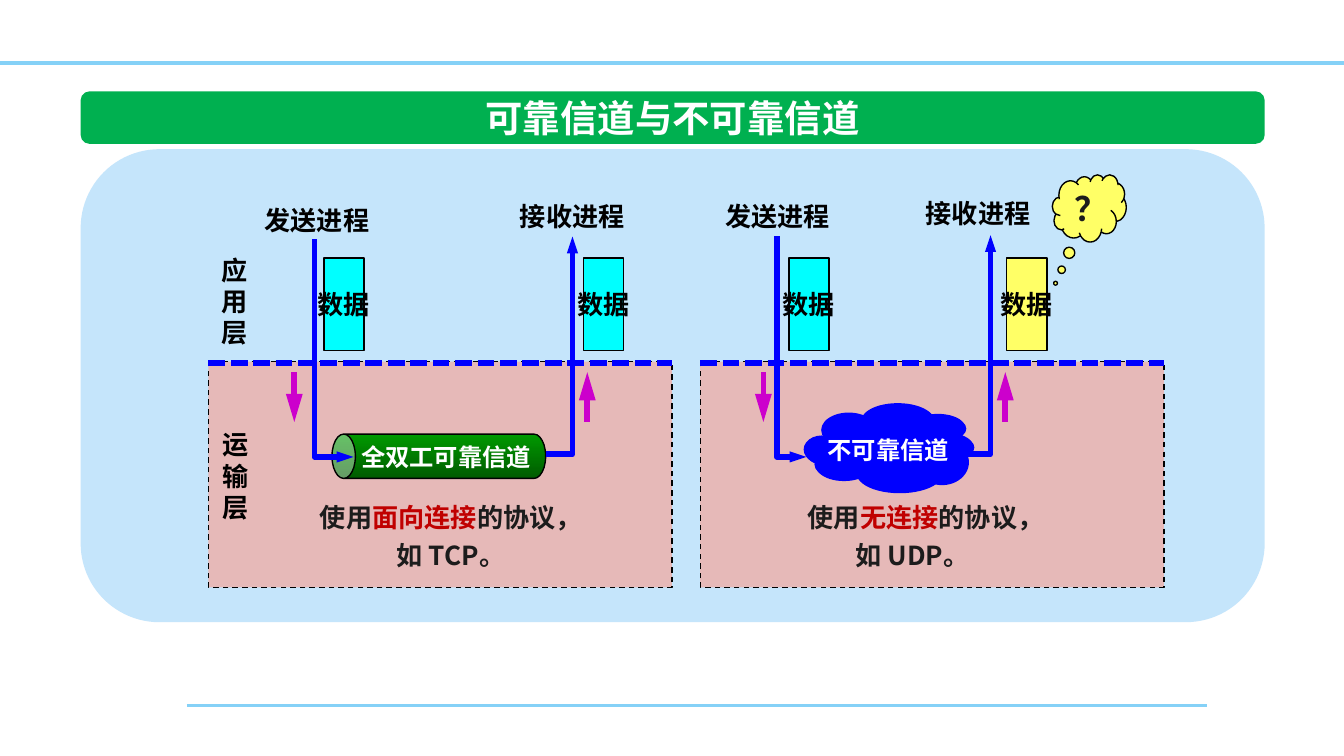
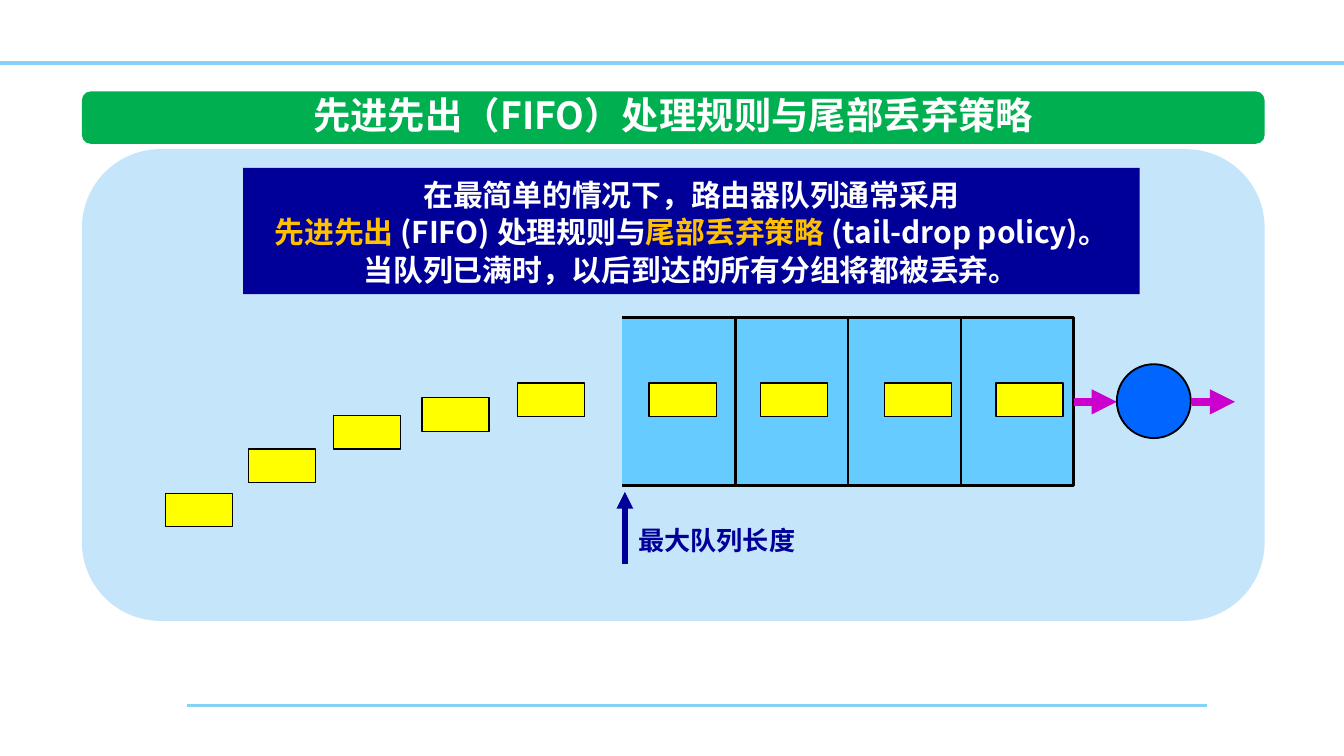
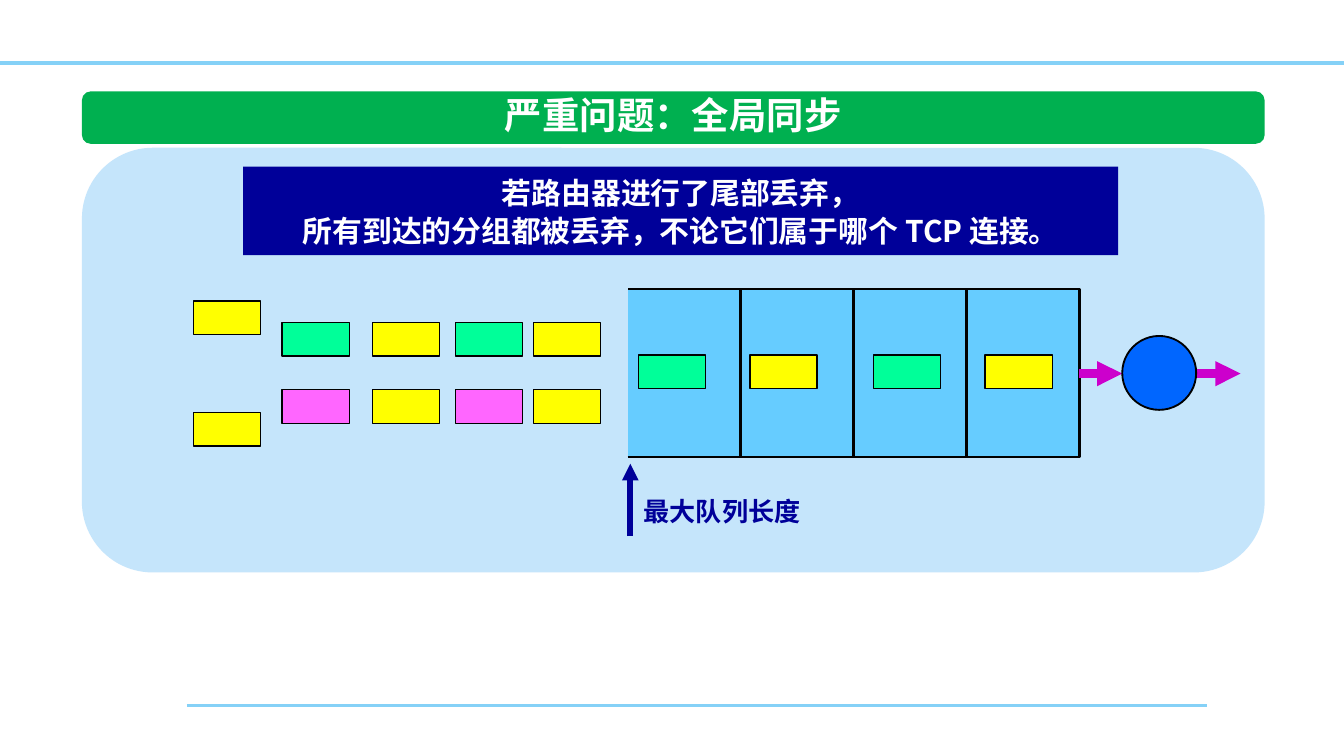
from dataclasses import dataclass

from lxml import etree
from pptx import Presentation
from pptx.dml.color import RGBColor as Rgb
from pptx.enum.dml import MSO_LINE as Dash
from pptx.enum.shapes import MSO_CONNECTOR as Wire, MSO_SHAPE as Kind
from pptx.enum.text import MSO_ANCHOR as Anchor, PP_ALIGN as Align
from pptx.oxml.ns import qn
from pptx.util import Inches, Pt


@dataclass(frozen=True)
class Theme:
    font: str = "Noto Sans CJK SC"
    latin: str = "Calibri"
    rule: str = "85D1F7"
    band: str = "00B050"
    panel: str = "C5E5FB"
    white: str = "FFFFFF"
    black: str = "000000"
    ink: str = "1C1C1C"
    red: str = "C00000"
    gold: str = "FFC000"
    navy: str = "000099"
    blue: str = "0000FF"
    disc: str = "0066FF"
    sky: str = "66CCFF"
    cyan: str = "00FFFF"
    rose: str = "E6B9B8"
    lemon: str = "FFFF66"
    yellow: str = "FFFF00"
    mint: str = "00FF99"
    pink: str = "FF66FF"
    purple: str = "CC00CC"
    moss: str = "005B00"
    leaf: str = "009900"
    title: int = 20
    mark: int = 18
    note: int = 16
    body: int = 14
    small: int = 13
    lead: int = 20


T = Theme()


# Basic parts
def style(line, color, width, dash=None):
    line.color.rgb = Rgb.from_string(color)
    line.width = Pt(width)
    if dash:
        line.dash_style = dash


def tip(item, end, wide="med", long="med"):
    node = item.line._get_or_add_ln()
    etree.SubElement(node, qn("a:" + end), type="triangle", w=wide, len=long)


def paint(item, color):
    item.shadow.inherit = False
    item.fill.solid()
    item.fill.fore_color.rgb = Rgb.from_string(color)


def shape(on, kind, box, fill, edge=None, width=0.75, dash=None):
    item = on.add_shape(kind, *map(Inches, box))
    paint(item, fill)
    if edge:
        style(item.line, edge, width, dash)
    else:
        item.line.fill.background()
    return item


def wire(on, start, end, color, width, dash=None):
    item = on.add_connector(Wire.STRAIGHT, *map(Inches, start + end))
    style(item.line, color, width, dash)
    etree.SubElement(item._element.spPr, qn("a:effectLst"))
    return item


def path(on, points, color, width, fill=None):
    spots = [(Inches(x), Inches(y)) for x, y in points]
    pen = on.build_freeform(*spots[0])
    pen.add_line_segments(spots[1:], close=False)
    item = pen.convert_to_shape()
    if fill:
        paint(item, fill)
    else:
        item.shadow.inherit = False
        item.fill.background()
    style(item.line, color, width)
    return item


def write(item, rows, size, align=Align.LEFT, lead=None, wrap=False, font=T.font):
    """Fill a frame with rows, each a list of (text, colour) runs."""
    frame = item.text_frame
    frame.word_wrap = wrap
    for num, row in enumerate(rows):
        para = frame.add_paragraph() if num else frame.paragraphs[0]
        para.alignment = align
        if lead:
            para.line_spacing = Pt(lead)
        for text, color in row:
            run = para.add_run()
            run.text = text
            run.font.name, run.font.size, run.font.bold = font, Pt(size), True
            run.font.color.rgb = Rgb.from_string(color)
            east = etree.SubElement(run._r.get_or_add_rPr(), qn("a:ea"))
            east.set("typeface", T.font)


def label(on, box, rows, size, **look):
    item = on.add_textbox(*map(Inches, box))
    write(item, rows, size, **look)


# Shared frame: rules, title band and panel
def base(deck, title, wide, top, panel, font=T.font):
    on = deck.slides.add_slide(deck.slide_layouts[6]).shapes
    wire(on, (1.39, 5.25), (8.98, 5.25), T.rule, 1.5)
    wire(on, (0, 0.47), (10, 0.47), T.rule, 2)
    left, _, width, _ = panel
    shape(on, Kind.ROUNDED_RECTANGLE, panel, T.panel)
    shape(on, Kind.ROUNDED_RECTANGLE, (left, 0.68, width, 0.39), T.band)
    label(on, (left + (width - wide) / 2, top, wide, 0.44), [[(title, T.white)]],
          T.title, align=Align.CENTER, font=font)
    return on


# Channel slide
def layer(on, x, y, word):
    label(on, (x, y, 0.4, 0.81), [[(sign, T.black)] for sign in word], T.body)


def zone(on, x, y):
    """Transport layer area with its dashed upper border."""
    shape(on, Kind.RECTANGLE, (x, y, 3.45, 1.68), T.rose, T.black, dash=Dash.DASH)
    wire(on, (x, y + 0.01), (x + 3.45, y + 0.01), T.blue, 3, Dash.SQUARE_DOT)


def flow(on, x, top, low, reach, end):
    item = path(on, [(x, top), (x, low), (x + reach, low)], T.blue, 3)
    tip(item, end, "sm")


def hop(on, x, top, low):
    tip(wire(on, (x, top), (x, low), T.purple, 3), "tailEnd", long="lg")


def side(on, name, left, top, pack, fill):
    """Process name above its data block."""
    label(on, (left, top, 1.1, 0.34), [[(name, T.black)]], T.body, wrap=True)
    item = shape(on, Kind.RECTANGLE, (pack, 1.92, 0.3, 0.69), fill, T.black)
    item.text_frame.vertical_anchor = Anchor.MIDDLE
    write(item, [[("数据", T.black)]], T.body, Align.CENTER)


def note(on, box, key, name):
    row = [("使用", T.ink), (key, T.red), (f"的协议，如 {name}。", T.ink)]
    label(on, box, [row], T.body, align=Align.CENTER, lead=T.lead, wrap=True)


def pipe(on, x, y):
    can = shape(on, Kind.CAN, (x + 0.63, y - 0.63, 0.33, 1.59), T.leaf, T.black)
    can.rotation = 270
    can.adjustments[0] = 0.528
    can.fill.gradient()
    can.fill.gradient_angle = 0
    for stop, color in zip(can.fill.gradient_stops, (T.moss, T.leaf)):
        stop.color.rgb = Rgb.from_string(color)
    label(on, (x + 0.12, y + 0.01, 1.48, 0.32), [[("全双工可靠信道", T.white)]], T.small)


PUFFS = [(0.43, 0, 0.54, 0.26), (0.13, 0.07, 0.41, 0.26), (0, 0.24, 0.27, 0.21),
         (0.08, 0.34, 0.42, 0.23), (0.39, 0.38, 0.63, 0.28), (0.8, 0.08, 0.4, 0.2),
         (0.86, 0.22, 0.4, 0.2), (0.82, 0.26, 0.4, 0.34), (0.23, 0.16, 0.82, 0.34)]


def cloud(on, x, y):
    part = on.add_group_shape().shapes
    for shift in (0.01, 0):
        for dx, dy, w, h in PUFFS:
            shape(part, Kind.OVAL, (x + dx + shift, y + dy + shift, w, h), T.blue)
    label(on, (x + 0.08, y + 0.19, 1.11, 0.32), [[("不可靠信道", T.white)]], T.small)


def doubt(on, x, y):
    item = shape(on, Kind.CLOUD_CALLOUT, (x, y, 0.55, 0.5), T.lemon, T.black)
    item.adjustments[0], item.adjustments[1] = -0.456, 1.116
    label(on, (x + 0.07, y + 0.05, 0.29, 0.4), [[("？", T.ink)]], T.mark, wrap=True)


def channels(deck):
    on = base(deck, "可靠信道与不可靠信道", 3.01, 0.66, (0.6, 1.11, 8.81, 3.52), T.latin)
    for x in (1.55, 5.21):
        zone(on, x, 2.69)
    layer(on, 1.55, 1.84, "应用层")
    layer(on, 1.56, 3.14, "运输层")
    # Reliable channel
    pipe(on, 2.47, 3.23)
    note(on, (2.28, 3.64, 2.15, 0.66), "面向连接", "TCP")
    side(on, "发送进程", 1.87, 1.47, 2.41, T.cyan)
    side(on, "接收进程", 3.77, 1.44, 4.34, T.cyan)
    flow(on, 2.34, 1.78, 3.4, 0.29, "tailEnd")
    flow(on, 4.26, 1.76, 3.38, -0.2, "headEnd")
    # Unreliable channel
    flow(on, 5.78, 1.76, 3.4, 0.22, "tailEnd")
    flow(on, 7.37, 1.75, 3.38, -0.22, "headEnd")
    cloud(on, 5.98, 3)
    note(on, (5.82, 3.64, 1.94, 0.66), "无连接", "UDP")
    side(on, "发送进程", 5.3, 1.44, 5.87, T.cyan)
    side(on, "接收进程", 6.79, 1.42, 7.49, T.lemon)
    doubt(on, 7.83, 1.3)
    # Down at the senders, up at the receivers
    for down, up in ((2.19, 4.37), (5.68, 7.48)):
        hop(on, down, 2.77, 3.14)
        hop(on, up, 3.14, 2.77)


# Queue slides
def banner(on, box, rows):
    item = shape(on, Kind.RECTANGLE, box, T.navy)
    item.text_frame.vertical_anchor = Anchor.MIDDLE
    write(item, rows, T.note, Align.CENTER, T.lead, True)


def packet(on, x, y, color=T.yellow):
    shape(on, Kind.RECTANGLE, (x, y, 0.5, 0.25), color, T.black)


def queue(on, x, y, first, colors):
    """Four-cell buffer open on the left, its server and its limit mark."""
    part = on.add_group_shape().shapes
    right, low, mid = x + 3.36, y + 1.25, y + 0.63
    path(part, [(x, low), (right, low), (right, y), (x, y)], T.black, 1.5, T.sky)
    for num in (1, 2, 3):
        cell = x + 0.84 * num
        wire(part, (cell, y), (cell, low), T.black, 1.5)
    for start in (right, right + 0.88):
        tip(wire(part, (start, mid), (start + 0.32, mid), T.purple, 4.5), "tailEnd")
    shape(part, Kind.OVAL, (right + 0.32, y + 0.35, 0.55, 0.55), T.disc, T.black, 1)
    for dx, color in zip((0, 0.83, 1.75, 2.58), colors):
        packet(on, first + dx, y + 0.49, color)
    mark = x + 0.02
    tip(wire(on, (mark, y + 1.84), (mark, y + 1.3), T.navy, 3), "tailEnd")
    label(on, (mark, y + 1.49, 1.38, 0.34), [[("最大队列长度", T.navy)]], T.body)


def fifo(deck):
    on = base(deck, "先进先出（FIFO）处理规则与尾部丢弃策略", 5.79, 0.64, (0.61, 1.11, 8.8, 3.51))
    banner(on, (1.81, 1.25, 6.67, 0.94), [
        [("在最简单的情况下，路由器队列通常采用", T.white)],
        [("先进先出 ", T.gold), ("(FIFO) 处理规则与", T.white),
         ("尾部丢弃策略 ", T.gold), ("(tail-drop policy)。", T.white)],
        [("当队列已满时，以后到达的所有分组将都被丢弃。", T.white)]])
    for x, y in ((3.85, 2.85), (3.14, 2.96), (2.48, 3.09), (1.85, 3.34), (1.23, 3.67)):
        packet(on, x, y)
    queue(on, 4.63, 2.36, 4.83, [T.yellow] * 4)


def sync(deck):
    on = base(deck, "严重问题：全局同步", 2.73, 0.64, (0.61, 1.1, 8.8, 3.16))
    banner(on, (1.81, 1.24, 6.51, 0.66), [
        [("若路由器进行了尾部丢弃，", T.white)],
        [("所有到达的分组都被丢弃，不论它们属于哪个 TCP 连接。", T.white)]])
    # Two arriving streams, each alternating with yellow
    for y, far, color in ((2.4, 2.24, T.mint), (2.9, 3.07, T.pink)):
        packet(on, 1.44, far)
        for x, fill in zip((2.1, 2.77, 3.39, 3.97), (color, T.yellow) * 2):
            packet(on, x, y, fill)
    queue(on, 4.67, 2.15, 4.75, (T.mint, T.yellow) * 2)


def main():
    deck = Presentation()
    # Widescreen, 16:9
    deck.slide_width = Inches(10)
    deck.slide_height = Inches(10 * 9 / 16)
    for build in (channels, fifo, sync):
        build(deck)
    deck.save("out.pptx")


if __name__ == "__main__":
    main()
